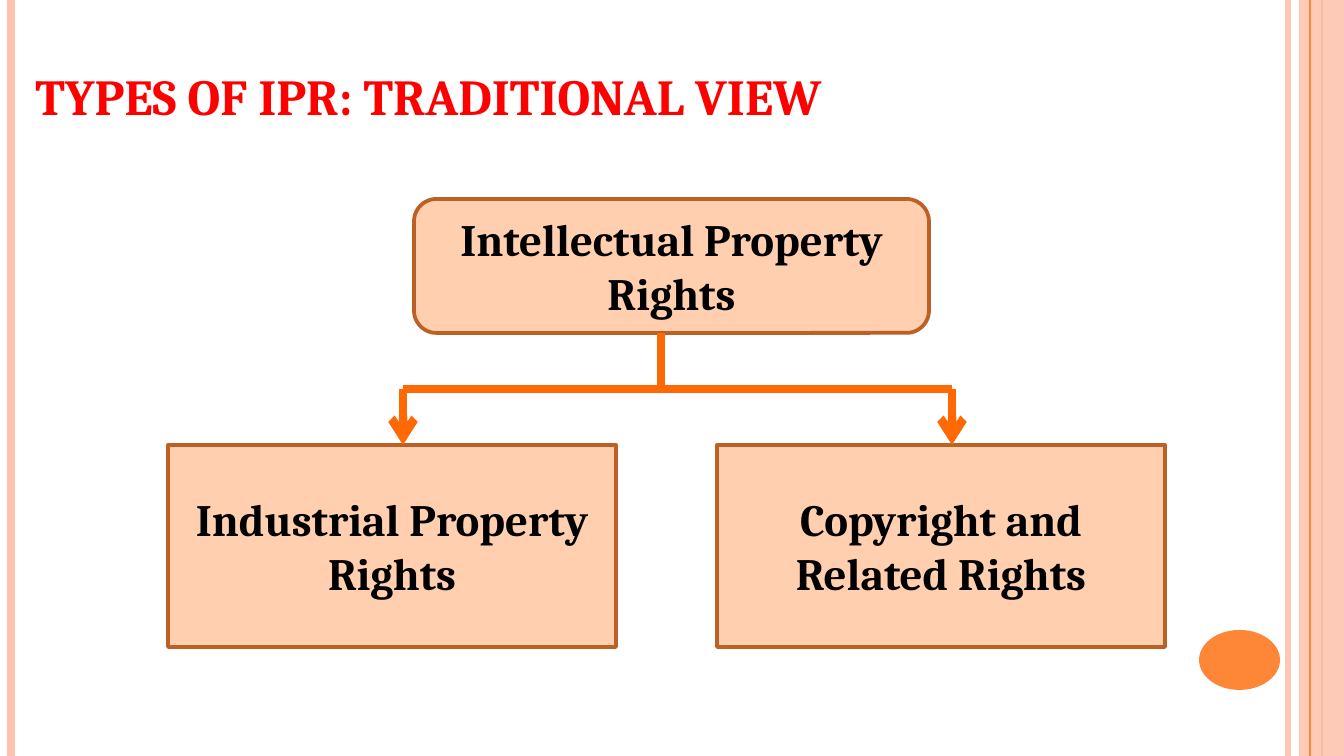
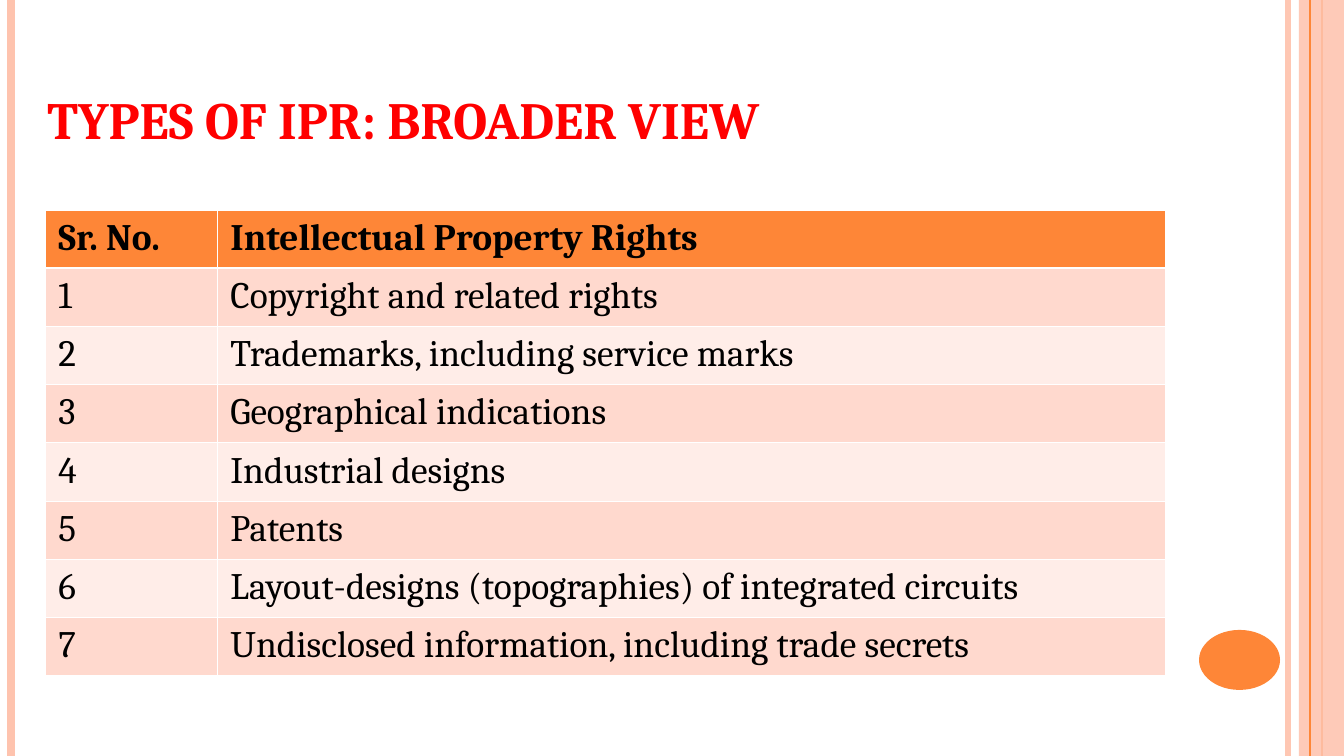
from lxml.etree import SubElement
from pptx import Presentation
from pptx.dml.color import RGBColor
from pptx.enum.shapes import MSO_CONNECTOR, MSO_SHAPE
from pptx.enum.text import MSO_ANCHOR, MSO_AUTO_SIZE, PP_ALIGN
from pptx.oxml import parse_xml
from pptx.oxml.ns import nsdecls, qn
from pptx.util import Pt

SCALE = 914400 / 134.4  # EMU per px
WIDTH, HEIGHT = 1344, 756
FONT = "Cambria"
COLORS = {
    "title": "FF0000", "text": "000000", "white": "FFFFFF",
    "band": "FEC3AE", "accent": "FE8637",
    "box": "FFCFAF", "box_line": "BB6126", "arrow": "FF6903",
    "row_dark": "FFD9CE", "row_light": "FFEDE8",
}
RIGHTS = [
    "Copyright and related rights",
    "Trademarks, including service marks",
    "Geographical indications",
    "Industrial designs",
    "Patents",
    "Layout-designs (topographies) of integrated circuits",
    "Undisclosed information, including trade secrets",
]


def px(n):
    return round(n * SCALE)


def rgb(name):
    return RGBColor.from_string(COLORS[name])


def style(p, size, color="text", bold=True, align=PP_ALIGN.LEFT):
    p.alignment = align
    p.font.name, p.font.size, p.font.bold = FONT, Pt(size), bold
    p.font.color.rgb = rgb(color)


def set_opacity(sp, percent):
    clr = next(sp.element.spPr.iter(qn("a:srgbClr")))
    SubElement(clr, qn("a:alpha"), val=str(percent * 1000))


def add_line(slide, x1, y1, x2, y2, color, width, arrow=False):
    line = slide.shapes.add_connector(
        MSO_CONNECTOR.STRAIGHT, px(x1), px(y1), px(x2), px(y2))
    line.line.color.rgb = rgb(color)
    line.line.width = Pt(width)
    if arrow:
        SubElement(line.line._get_or_add_ln(), qn("a:tailEnd"), type="arrow")
    SubElement(line.element.spPr, qn("a:effectLst"))
    return line


def add_box(slide, kind, x, y, w, h, fill, line=None, text=None):
    sp = slide.shapes.add_shape(kind, px(x), px(y), px(w), px(h))
    sp.shadow.inherit = False
    sp.fill.solid()
    sp.fill.fore_color.rgb = rgb(fill)
    if line:
        sp.line.color.rgb = rgb(line)
        sp.line.width = Pt(2)
    else:
        sp.line.fill.background()
    if text:
        tf = sp.text_frame
        tf.word_wrap = True
        tf.vertical_anchor = MSO_ANCHOR.MIDDLE
        tf.text = text
        style(tf.paragraphs[0], 24, align=PP_ALIGN.CENTER)
    return sp


def add_bands(slide):
    def rule(x, color, width):
        return add_line(slide, x, 0, x, HEIGHT, color, width)

    set_opacity(rule(1288, "band", 3), 93)
    rule(11, "band", 4.5)
    rule(1322, "accent", 1.5)
    set_opacity(add_box(slide, MSO_SHAPE.RECTANGLE, 1299, 0, 45, HEIGHT, "band"), 87)
    rule(1310, "accent", 0.75)
    add_box(slide, MSO_SHAPE.OVAL, 1199, 630, 81, 60, "accent")


def add_slide(prs, title, box, size):
    slide = prs.slides.add_slide(prs.slide_layouts[5])
    add_bands(slide)
    sp = slide.shapes.title
    sp.left, sp.top, sp.width, sp.height = map(px, box)
    tf = sp.text_frame
    tf.text = title
    tf.word_wrap = True
    tf.auto_size = MSO_AUTO_SIZE.NONE
    tf.vertical_anchor = MSO_ANCHOR.BOTTOM
    style(tf.paragraphs[0], size, "title")
    # Title sits in front of the bands
    sp.element.getparent().append(sp.element)
    return slide


def add_tree(slide, box, root, leaves):
    x, y, w, h = box
    root_x, root_w, root_h = x + 246, 515, 134
    leaf_w, leaf_h = 448, 202
    leaf_y = y + h - leaf_h
    root_bottom = y + root_h
    bus_y = (root_bottom + leaf_y) // 2
    step = (w - leaf_w) // (len(leaves) - 1)
    leaf_xs = [x + i * step for i in range(len(leaves))]

    # Boxes
    for leaf_x, text in zip(leaf_xs, leaves):
        add_box(slide, MSO_SHAPE.RECTANGLE, leaf_x, leaf_y, leaf_w, leaf_h,
                "box", "box_line", text)
    add_box(slide, MSO_SHAPE.ROUNDED_RECTANGLE, root_x, y, root_w, root_h,
            "box", "box_line", root)

    # Arrows, bus and trunk
    drops = [leaf_x + 235 for leaf_x in leaf_xs]
    for drop in drops:
        add_line(slide, drop, bus_y, drop, leaf_y, "arrow", 4.5, arrow=True)
    add_line(slide, drops[0], bus_y, drops[-1], bus_y, "arrow", 4.5)
    trunk = root_x + 247
    add_line(slide, trunk, root_bottom, trunk, bus_y, "arrow", 4.5)


def set_borders(cell, **widths):
    tc_pr = cell._tc.get_or_add_tcPr()
    for i, side in enumerate("LRTB"):
        width = Pt(widths.get(side, 0.45))
        tc_pr.insert(i, parse_xml(
            f'<a:ln{side} {nsdecls("a")} w="{width}"><a:solidFill>'
            f'<a:srgbClr val="{COLORS["white"]}"/></a:solidFill></a:ln{side}>'))


def add_rights_table(slide, box, header, rights):
    x, y, w, h = box
    rows = [header] + [(str(n), name) for n, name in enumerate(rights, 1)]
    table = slide.shapes.add_table(len(rows), 2, px(x), px(y), px(w), px(h)).table
    number_w = 172
    for col, width in zip(table.columns, (number_w, w - number_w)):
        col.width = px(width)
    for i, row in enumerate(rows):
        fill = "accent" if i == 0 else "row_dark" if i % 2 else "row_light"
        edges = {0: {"B": 1.47}, 1: {"T": 1.47}}.get(i, {})
        for j, text in enumerate(row):
            cell = table.cell(i, j)
            cell.text = text
            style(cell.text_frame.paragraphs[0], 20, bold=i == 0)
            cell.fill.solid()
            cell.fill.fore_color.rgb = rgb(fill)
            set_borders(cell, **edges)


def main():
    prs = Presentation()
    prs.slide_width, prs.slide_height = px(WIDTH), px(HEIGHT)

    s = add_slide(prs, "TYPES OF IPR: TRADITIONAL VIEW", (22, 20, 1300, 112), 27)
    add_tree(s, (168, 199, 997, 448), "Intellectual Property Rights",
             ["Industrial Property Rights", "Copyright and Related Rights"])

    s = add_slide(prs, "TYPES OF IPR: BROADER VIEW", (34, 31, 1165, 126), 28)
    add_rights_table(s, (45, 210, 1120, 466),
                     ("Sr. No.", "Intellectual Property Rights"), RIGHTS)

    prs.save("out.pptx")


if __name__ == "__main__":
    main()
